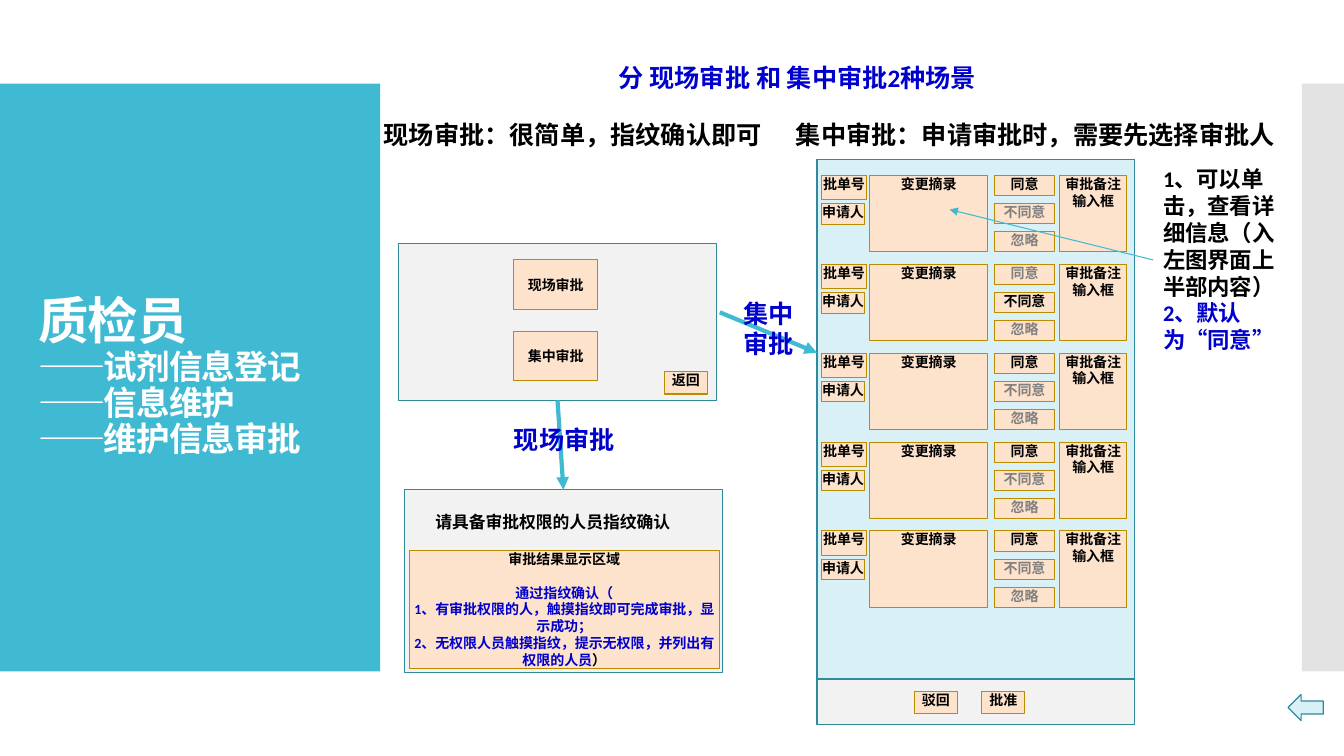
"""Build the approval-flow slide with its sidebar, dialogs and approval list."""
from dataclasses import dataclass
from typing import Any

from lxml import etree
from pptx import Presentation
from pptx import util as u
from pptx.dml.color import RGBColor
from pptx.enum import lang, shapes, text
from pptx.oxml import ns


@dataclass(frozen=True)
class Theme:
    """Colours, type sizes and line widths."""
    font: str = "Calibri"
    teal: str = "40BAD2"
    edge: str = "2F8A9B"
    pale: str = "D9F1F6"
    grey: str = "F2F2F2"
    strip: str = "C8C8C8"
    peach: str = "FDE2CC"
    gold: str = "BB8B00"
    black: str = "000000"
    blue: str = "0000CC"
    faint: str = "808080"
    white: str = "FFFFFF"
    title: float = 36
    sub: float = 24
    head: float = 18
    note: float = 16
    body: float = 12
    small: float = 10
    rim: float = 0.85
    thin: float = 0.75
    thick: float = 3


@dataclass(frozen=True)
class Box:
    """A rectangle in centimetres."""
    left: float
    top: float
    width: float
    height: float

    def emu(self) -> tuple[u.Length, ...]:
        """Return the four lengths."""
        return tuple(map(u.Cm, (self.left, self.top, self.width, self.height)))

    def move(self, x: float, y: float) -> "Box":
        """Return the box shifted by x and y."""
        return Box(self.left + x, self.top + y, self.width, self.height)


@dataclass(frozen=True)
class Line:
    """One paragraph with its colour, size and space before."""
    text: str
    ink: str
    size: float
    gap: float = 0


@dataclass(frozen=True)
class Label:
    """A free text box."""
    box: Box
    lines: tuple[Line, ...]
    wrap: bool = False


@dataclass(frozen=True)
class Button:
    """A peach form field or button."""
    text: str
    box: Box
    middle: bool = False


T = Theme()
CHOICES = ("同意", "不同意", "忽略")
PICKS = (0, 1, 0, 0, 0)
START, PITCH = (20.7, 4.42), 2.24
FIELDS = (
    Button("批单号", Box(0, 0, 1.14, 0.61)),
    Button("变更摘录", Box(1.22, 0, 2.97, 1.93)),
    Button("申请人", Box(0, 0.72, 1.09, 0.51)),
    Button("审批备注输入框", Box(6, 0, 1.7, 1.93)),
)
CHOICE = Box(4.37, 0, 1.5, 0.51)
STEP = 0.71
BUTTONS = (
    Button("驳回", Box(23.04, 17.42, 1.09, 0.56)),
    Button("批准", Box(24.74, 17.42, 1.09, 0.56)),
    Button("返回", Box(16.74, 9.37, 1.09, 0.56)),
    Button("现场审批", Box(12.95, 6.55, 2.11, 1.24), True),
    Button("集中审批", Box(12.95, 8.36, 2.11, 1.24), True),
)
RESULT = (
    Line("审批结果显示区域", T.black, T.small),
    Line("通过指纹确认（", T.blue, T.small, 12),
    Line("1、有审批权限的人，触摸指纹即可完成审批，显示成功；", T.blue, T.small),
    Line("2、无权限人员触摸指纹，提示无权限，并列出有权限的人员", T.blue, T.small),
)
TITLE = (Line("质检员", T.white, T.title),) + tuple(
    Line(name, T.white, T.sub)
    for name in ("——试剂信息登记", "——信息维护", "——维护信息审批"))
LABELS = (
    Label(Box(15.34, 1.45, 9.93, 1.02),
          (Line("分 现场审批 和 集中审批2种场景", T.blue, T.head),), True),
    Label(Box(9.42, 2.87, 10.13, 1.02),
          (Line("现场审批：很简单，指纹确认即可", T.black, T.head),)),
    Label(Box(19.81, 2.87, 12.7, 1.02),
          (Line("集中审批：申请审批时，需要先选择审批人", T.black, T.head),)),
    Label(Box(29.06, 4.04, 3.45, 5.05),
          (Line("1、可以单击，查看详细信息（入左图界面上半部内容）", T.black, T.note),
           Line("2、默认为“同意”", T.blue, T.note)), True),
    Label(Box(12.7, 10.57, 3.23, 1.02), (Line("现场审批", T.blue, T.head),)),
    Label(Box(18.49, 7.39, 1.93, 1.8),
          (Line("集中", T.blue, T.head), Line("审批", T.blue, T.head))),
    Label(Box(10.72, 12.78, 7.14, 0.76),
          (Line("请具备审批权限的人员指纹确认", T.black, T.body),), True),
)


def style(run: Any, ink: str, size: float) -> None:
    """Format one run."""
    font = run.font
    font.name, font.size, font.bold = T.font, u.Pt(size), True
    font.language_id = lang.MSO_LANGUAGE_ID.SIMPLIFIED_CHINESE
    font.color.rgb = RGBColor.from_string(ink)


def write(frame: Any, lines: tuple[Line, ...], align: Any) -> None:
    """Fill a text frame with formatted paragraphs."""
    frame.text = "\n".join(line.text for line in lines)
    for para, line in zip(frame.paragraphs, lines):
        para.alignment = align
        if line.gap:
            para.space_before = u.Pt(line.gap)
        for run in para.runs:
            style(run, line.ink, line.size)


def panel(slide: Any, box: Box, fill: str, rim: str = "",
          width: float = T.rim, kind: Any = shapes.MSO_SHAPE.RECTANGLE) -> Any:
    """Draw a filled shape with an optional outline."""
    shape = slide.shapes.add_shape(kind, *box.emu())
    shape.shadow.inherit = False
    shape.fill.solid()
    shape.fill.fore_color.rgb = RGBColor.from_string(fill)
    if rim:
        shape.line.color.rgb = RGBColor.from_string(rim)
        shape.line.width = u.Pt(width)
    else:
        shape.line.fill.background()
    return shape


def field(slide: Any, box: Box, lines: tuple[Line, ...],
          middle: bool = False) -> Any:
    """Draw a peach box with centred text and no margins."""
    shape = panel(slide, box, T.peach, T.gold, T.thin)
    frame = shape.text_frame
    frame.margin_left = frame.margin_right = 0
    frame.margin_top = frame.margin_bottom = 0
    frame.word_wrap = True
    anchor = text.MSO_ANCHOR
    frame.vertical_anchor = anchor.MIDDLE if middle else anchor.TOP
    write(frame, lines, text.PP_ALIGN.CENTER)
    return shape


def label(slide: Any, item: Label) -> Any:
    """Draw a free text box and return its frame."""
    frame = slide.shapes.add_textbox(*item.box.emu()).text_frame
    frame.word_wrap = item.wrap
    frame.auto_size = text.MSO_AUTO_SIZE.SHAPE_TO_FIT_TEXT
    write(frame, item.lines, text.PP_ALIGN.LEFT)
    return frame


def arrow(slide: Any, ends: tuple[float, ...], width: float) -> Any:
    """Draw a teal arrow between two points."""
    link = slide.shapes.add_connector(
        shapes.MSO_CONNECTOR.STRAIGHT, *map(u.Cm, ends))
    link.line.color.rgb = RGBColor.from_string(T.teal)
    link.line.width = u.Pt(width)
    etree.SubElement(link.line._get_or_add_ln(), ns.qn("a:tailEnd"),
                     type="triangle")
    etree.SubElement(link._element.spPr, ns.qn("a:effectLst"))
    return link


def side(slide: Any) -> None:
    """Draw the title block and the grey strip."""
    panel(slide, Box(0, 2.11, 9.58, 14.81), T.teal)
    strip = panel(slide, Box(32.81, 2.11, 1.06, 14.81), T.strip)
    tint = strip._element.spPr.find(".//" + ns.qn("a:srgbClr"))
    etree.SubElement(tint, ns.qn("a:alpha"), val="50000")
    frame = label(slide, Label(Box(0.71, 3.12, 8.18, 12.78), TITLE, True))
    frame.auto_size = text.MSO_AUTO_SIZE.NONE
    frame.vertical_anchor = text.MSO_ANCHOR.MIDDLE
    for para in frame.paragraphs:
        para.line_spacing = 0.9
        for run in para.runs:
            run.font._element.set("spc", "-60")


def rows(slide: Any) -> None:
    """Draw the list of approval requests."""
    for row, pick in enumerate(PICKS):
        x, y = START[0], START[1] + row * PITCH
        for item in FIELDS:
            field(slide, item.box.move(x, y),
                  (Line(item.text, T.black, T.small),))
        for rank, name in enumerate(CHOICES):
            ink = T.black if rank == pick else T.faint
            field(slide, CHOICE.move(x, y + rank * STEP),
                  (Line(name, ink, T.small),))


def main() -> None:
    """Build and save the slide."""
    deck = Presentation()
    deck.slide_width, deck.slide_height = u.Cm(33.87), u.Cm(19.05)
    slide = deck.slides.add_slide(deck.slide_layouts[6])
    side(slide)
    scan = panel(slide, Box(10.2, 12.34, 8, 4.6), T.grey, T.edge)
    panel(slide, Box(20.59, 4.03, 8, 14.22), T.grey, T.edge)
    panel(slide, Box(20.59, 4.03, 8, 13.08), T.pale, T.edge)
    menu = panel(slide, Box(10.05, 6.13, 8, 3.96), T.grey, T.edge)
    rows(slide)
    for item in BUTTONS:
        field(slide, item.box, (Line(item.text, T.black, T.small),),
              item.middle)
    done = field(slide, Box(10.31, 13.87, 7.82, 2.97), RESULT)
    close = done.text_frame.paragraphs[-1].add_run()
    close.text = "）"
    style(close, T.black, T.small)
    arrow(slide, (29.06, 6.55, 23.93, 5.28), T.thin)
    arrow(slide, (18.14, 7.87, 20.59, 8.89), T.thick)
    down = arrow(slide, (14.05, 10.09, 14.2, 12.34), T.thick)
    down.begin_connect(menu, 2)
    down.end_connect(scan, 0)
    for item in LABELS:
        label(slide, item)
    panel(slide, Box(32.46, 17.5, 0.89, 0.66), T.pale, T.edge,
          kind=shapes.MSO_SHAPE.LEFT_ARROW)
    deck.save("out.pptx")


if __name__ == "__main__":
    main()
